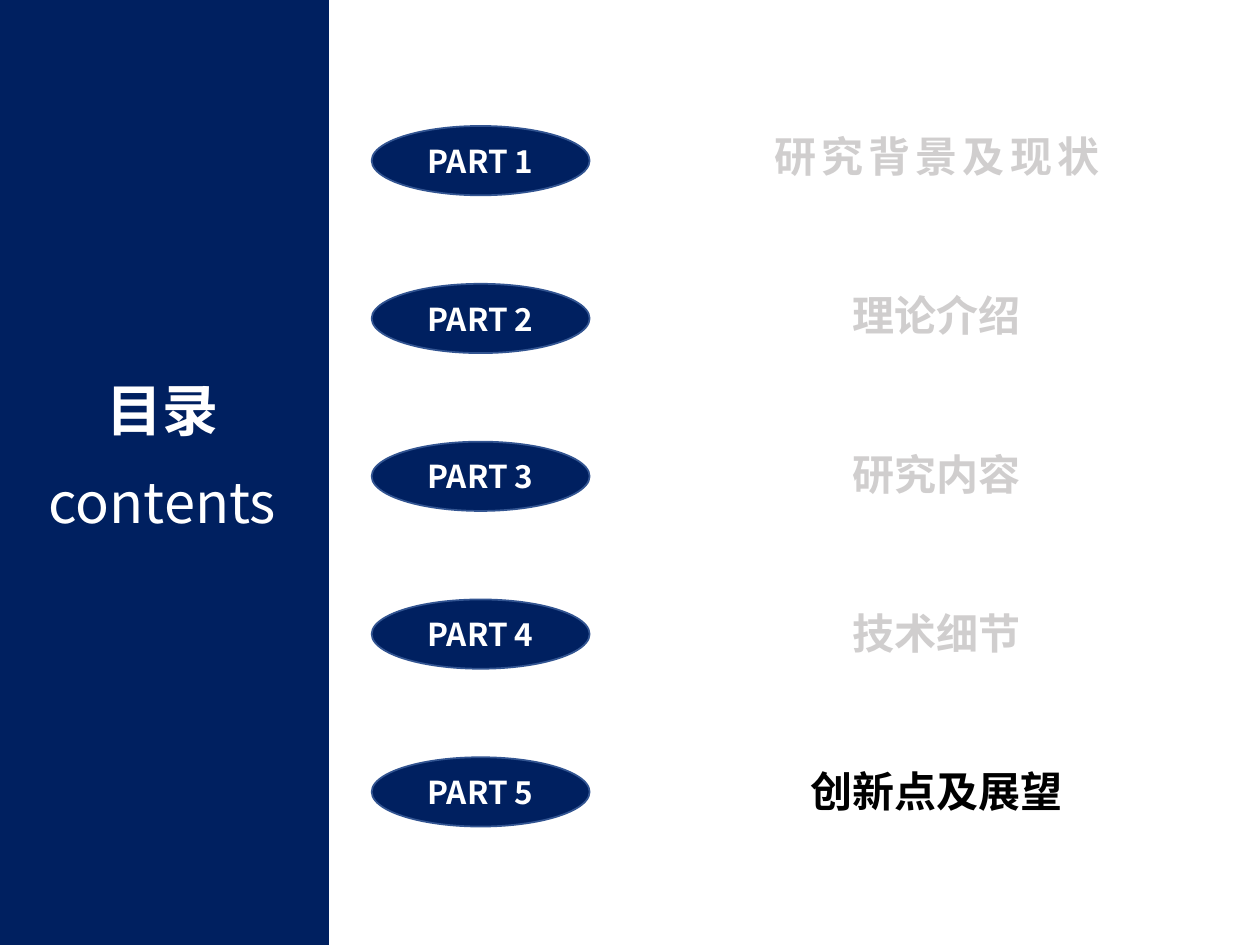
from dataclasses import dataclass

from lxml import etree
from pptx import Presentation
from pptx.dml.color import RGBColor
from pptx.enum.shapes import MSO_SHAPE
from pptx.enum.text import MSO_ANCHOR, MSO_AUTO_SIZE, PP_ALIGN
from pptx.oxml.ns import qn
from pptx.shapes.autoshape import Shape
from pptx.slide import Slide
from pptx.util import Inches, Pt

RECTANGLE = MSO_SHAPE.RECTANGLE
OVAL = MSO_SHAPE.OVAL
TOP = MSO_ANCHOR.TOP
MIDDLE = MSO_ANCHOR.MIDDLE
CENTER = PP_ALIGN.CENTER
FIT_SHAPE = MSO_AUTO_SIZE.SHAPE_TO_FIT_TEXT

NAVY = RGBColor(0x00, 0x20, 0x60)
OUTLINE = RGBColor(0x32, 0x54, 0x91)
WHITE = RGBColor(0xFF, 0xFF, 0xFF)
GREY = RGBColor(0xD0, 0xCE, 0xCE)
BLACK = RGBColor(0x00, 0x00, 0x00)

FONT = "Noto Sans CJK SC"
TOPIC_CENTER = 7.435
FIRST_BADGE_TOP = 1.0
FIRST_TOPIC_TOP = 0.99
BADGE_PITCH = 1.2525
TOPIC_PITCH = 1.26


@dataclass(frozen=True)
class TextStyle:
    size: float
    color: RGBColor
    bold: bool = True
    spacing: float = 0


@dataclass(frozen=True)
class Part:
    topic: str
    width: float
    style: TextStyle


HEADING = TextStyle(32, WHITE)
SUBHEADING = TextStyle(32, WHITE, bold=False)
BADGE = TextStyle(18, WHITE)
INACTIVE = TextStyle(24, GREY)
SPACED = TextStyle(24, GREY, spacing=3)
CURRENT = TextStyle(24, BLACK)

PARTS = [
    Part("研究背景及现状", 3.39, SPACED),
    Part("理论介绍", 5.31, INACTIVE),
    Part("研究内容", 4.65, INACTIVE),
    Part("技术细节", 3.39, INACTIVE),
    Part("创新点及展望", 4.87, CURRENT),
]


def write_text(shape: Shape, text: str, style: TextStyle) -> None:
    para = shape.text_frame.paragraphs[0]
    para.alignment = CENTER
    span = para.add_run()
    span.text = text
    span.font.size = Pt(style.size)
    span.font.bold = style.bold
    span.font.color.rgb = style.color
    span.font.name = FONT
    properties = span._r.get_or_add_rPr()
    etree.SubElement(properties, qn("a:ea"), typeface=FONT)
    if style.spacing:
        properties.set("spc", str(int(style.spacing * 100)))


def format_box(box: Shape, wrap: bool) -> None:
    frame = box.text_frame
    frame.word_wrap = wrap
    frame.auto_size = FIT_SHAPE
    frame.vertical_anchor = TOP


def add_text(slide: Slide, left: float, top: float, width: float, height: float,
             text: str, style: TextStyle, wrap: bool = True) -> None:
    box = slide.shapes.add_textbox(Inches(left), Inches(top), Inches(width), Inches(height))
    format_box(box, wrap)
    write_text(box, text, style)


def add_navy_shape(slide: Slide, kind: MSO_SHAPE, left: float, top: float,
                   width: float, height: float) -> Shape:
    shape = slide.shapes.add_shape(kind, Inches(left), Inches(top), Inches(width), Inches(height))
    shape.shadow.inherit = False
    shape.fill.solid()
    shape.fill.fore_color.rgb = NAVY
    return shape


def add_side_panel(slide: Slide) -> None:
    panel = add_navy_shape(slide, RECTANGLE, -0.04, 0, 2.65, 7.5)
    panel.line.fill.background()

    title = slide.shapes.title
    title.left, title.top = Inches(0.74), Inches(2.93)
    title.width, title.height = Inches(1.1), Inches(0.64)
    format_box(title, wrap=False)
    write_text(title, "目录", HEADING)
    # The title must lie in front of the panel.
    title.element.addprevious(panel.element)

    add_text(slide, 0.26, 3.66, 2.06, 0.64, "contents", SUBHEADING, wrap=False)


def add_part(slide: Slide, index: int, part: Part) -> None:
    badge_top = FIRST_BADGE_TOP + index * BADGE_PITCH
    badge = add_navy_shape(slide, OVAL, 2.95, badge_top, 1.73, 0.55)
    badge.line.color.rgb = OUTLINE
    badge.line.width = Pt(1)
    badge.text_frame.vertical_anchor = MIDDLE
    write_text(badge, f"PART {index + 1}", BADGE)

    add_text(slide, TOPIC_CENTER - part.width / 2, FIRST_TOPIC_TOP + index * TOPIC_PITCH,
             part.width, 0.5, part.topic, part.style)


def main() -> None:
    deck = Presentation()
    deck.slide_width, deck.slide_height = Inches(10), Inches(7.5)
    slide = deck.slides.add_slide(deck.slide_layouts[5])
    add_side_panel(slide)
    for index, part in enumerate(PARTS):
        add_part(slide, index, part)
    deck.save("out.pptx")


if __name__ == "__main__":
    main()
